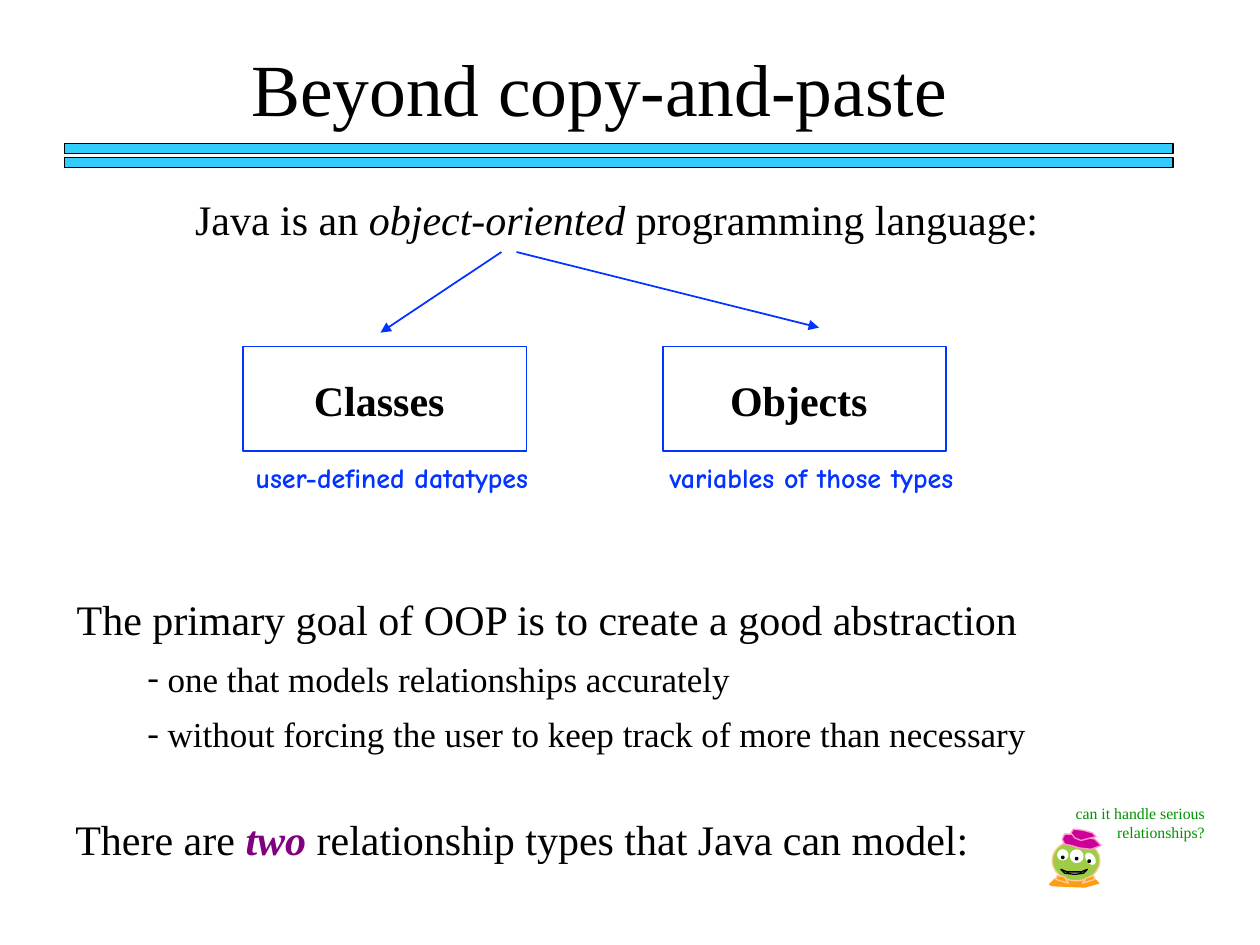
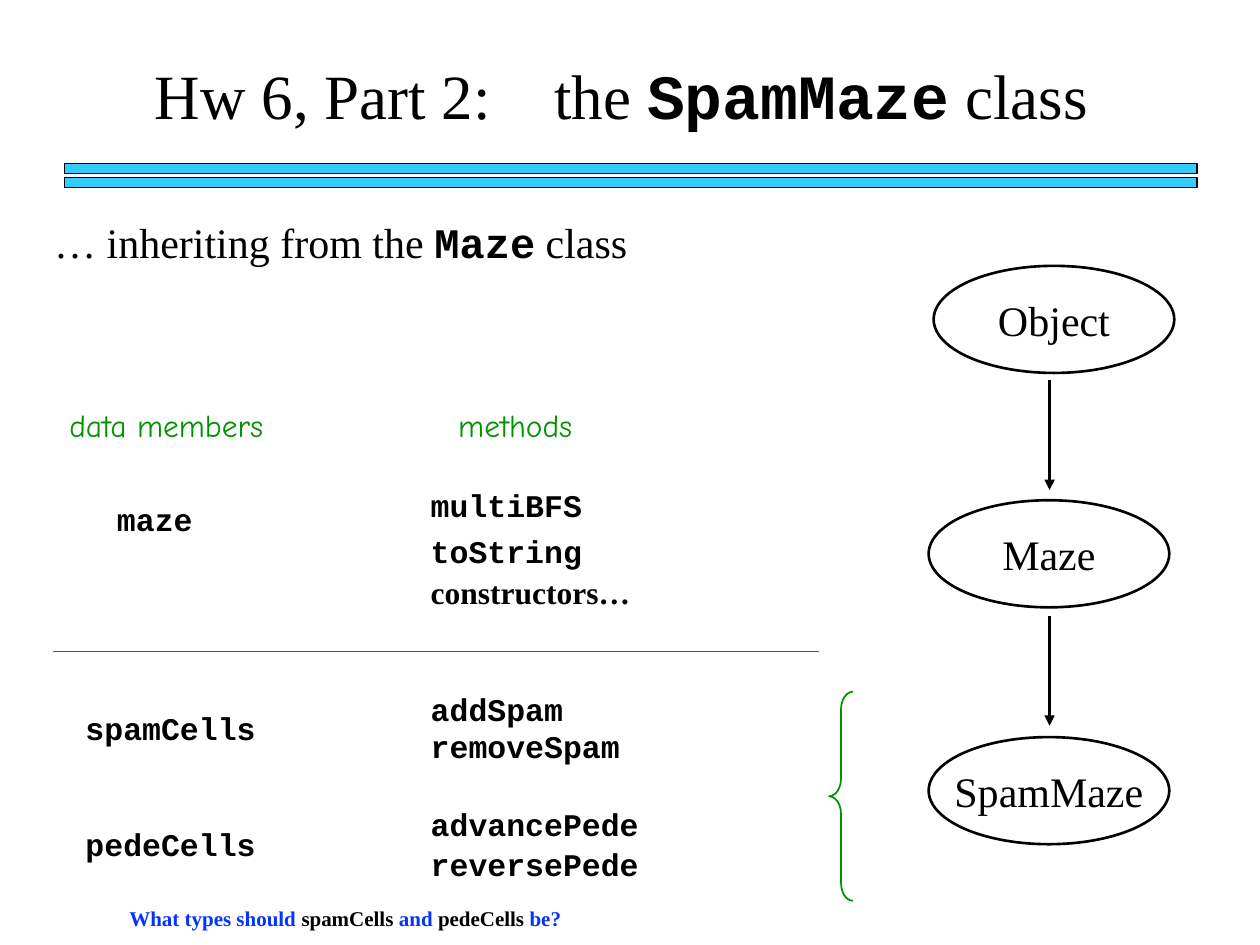
from dataclasses import dataclass

from lxml import etree
from pptx import Presentation
from pptx.dml.color import RGBColor
from pptx.enum import shapes, text
from pptx.oxml import ns
from pptx.util import Inches, Pt

LEFT, CENTER, RIGHT = text.PP_ALIGN.LEFT, text.PP_ALIGN.CENTER, text.PP_ALIGN.RIGHT
TOP, MIDDLE = text.MSO_ANCHOR.TOP, text.MSO_ANCHOR.MIDDLE
RECTANGLE, OVAL = shapes.MSO_SHAPE.RECTANGLE, shapes.MSO_SHAPE.OVAL


@dataclass(frozen=True)
class Theme:
    serif: str = "Times New Roman"
    mono: str = "Courier New"
    hand: str = "Comic Neue"
    ink: str = "000000"
    band: str = "33CCFF"
    blue: str = "0333FF"
    green: str = "009200"
    purple: str = "800080"
    skin: str = "9ECC46"
    feet: str = "FD9D0F"
    peach: str = "FFCC99"
    beret: str = "CC0099"
    beret_edge: str = "FF99CC"
    eye: str = "FFFFFF"
    mouth: str = "C0C0C0"
    title: float = 42
    long_title: float = 36
    main: float = 24
    sub: float = 20
    member: float = 18
    note: float = 16
    question: float = 12
    aside: float = 9
    hairline: float = 0.75
    thin: float = 1
    thick: float = 1.5


THEME = Theme()


@dataclass(frozen=True)
class Run:
    words: str
    size: float = THEME.main
    font: str = THEME.serif
    color: str = THEME.ink
    bold: bool = False
    italic: bool = False


class Deck:
    def __init__(self, theme):
        self.theme = theme
        self.show = Presentation()
        self.show.slide_width, self.show.slide_height = Inches(10), Inches(7.5)
        self.slide = None

    def start(self):
        self.slide = self.show.slides.add_slide(self.show.slide_layouts[1])

    def set_text(self, frame, paragraphs, align=LEFT, anchor=TOP, wrap=True):
        """Fill a text frame; each paragraph is a list of runs."""
        frame.word_wrap = wrap
        frame.auto_size = text.MSO_AUTO_SIZE.NONE
        frame.vertical_anchor = anchor
        for number, runs in enumerate(paragraphs):
            line = frame.add_paragraph() if number else frame.paragraphs[0]
            line.alignment = align
            line.space_before = Pt(0)
            for part in runs:
                run = line.add_run()
                run.text = part.words
                run.font.name = part.font
                run.font.size = Pt(part.size)
                run.font.bold, run.font.italic = part.bold, part.italic
                run.font.color.rgb = RGBColor.from_string(part.color)

    def place(self, holder, left, top, width, height):
        holder.left, holder.top = Inches(left), Inches(top)
        holder.width, holder.height = Inches(width), Inches(height)
        return holder.text_frame

    def title(self, box, runs, align=CENTER, tab=None):
        frame = self.place(self.slide.shapes.title, *box)
        self.set_text(frame, [runs], align, MIDDLE)
        if tab:
            stops = etree.SubElement(frame.paragraphs[0]._p.get_or_add_pPr(), ns.qn("a:tabLst"))
            etree.SubElement(stops, ns.qn("a:tab"), pos=str(Inches(tab)), algn="l")

    def body(self, box, paragraphs, bullet=None, hang=0.0, indent=0.0, line_spacing=1.0, gap=0):
        frame = self.place(self.slide.placeholders[1], *box)
        self.set_text(frame, paragraphs)
        for number, line in enumerate(frame.paragraphs):
            line.line_spacing = line_spacing
            line.space_before = Pt(gap if number else 0)
            props = line._p.get_or_add_pPr()
            props.set("marL", str(Inches(indent)))
            props.set("indent", str(-Inches(hang)))
            if bullet:
                etree.SubElement(props, ns.qn("a:buFont"), typeface=self.theme.serif)
                etree.SubElement(props, ns.qn("a:buChar"), char=bullet)
            else:
                etree.SubElement(props, ns.qn("a:buNone"))

    def label(self, box, *runs, align=LEFT, wrap=True):
        frame = self.slide.shapes.add_textbox(*map(Inches, box)).text_frame
        self.set_text(frame, [runs], align, wrap=wrap)

    def paint(self, shape, fill, line, weight):
        shape.shadow.inherit = False
        if fill:
            shape.fill.solid()
            shape.fill.fore_color.rgb = RGBColor.from_string(fill)
        else:
            shape.fill.background()
        if line:
            shape.line.color.rgb = RGBColor.from_string(line)
            shape.line.width = Pt(weight)
        else:
            shape.line.fill.background()

    def shape(self, kind, box, fill=None, line=None, weight=THEME.hairline, turn=0):
        shape = self.slide.shapes.add_shape(kind, *map(Inches, box))
        shape.rotation = turn
        self.paint(shape, fill, line, weight)
        return shape

    def outline(self, points, fill, line):
        start, *rest = [(Inches(x), Inches(y)) for x, y in points]
        builder = self.slide.shapes.build_freeform(*start)
        builder.add_line_segments(rest, close=True)
        self.paint(builder.convert_to_shape(), fill, line, self.theme.hairline)

    def line(self, start, end, color, weight, arrow=True):
        ends = map(Inches, (*start, *end))
        link = self.slide.shapes.add_connector(shapes.MSO_CONNECTOR.STRAIGHT, *ends)
        link.line.color.rgb = RGBColor.from_string(color)
        link.line.width = Pt(weight)
        props = link._element.spPr
        if arrow:
            etree.SubElement(props.get_or_add_ln(), ns.qn("a:tailEnd"), type="triangle")
        etree.SubElement(props, ns.qn("a:effectLst"))

    def bands(self, top, width):
        for offset in (0, 0.11):
            self.shape(RECTANGLE, (0.51, top + offset, width, 0.08), self.theme.band, self.theme.ink)

    def mascot(self):
        t = self.theme
        self.outline([(8.53, 6.93), (8.6, 6.93), (8.67, 6.96), (8.72, 7.01), (8.61, 7.04),
                      (8.36, 7.03), (8.33, 7.02), (8.37, 6.98), (8.44, 6.95)], t.feet, t.feet)
        self.shape(OVAL, (8.35, 6.67, 0.38, 0.32), t.skin, t.peach)
        for left, top, width, height, turn in ((8.39, 6.74, 0.09, 0.09, 327),
                                               (8.49, 6.74, 0.11, 0.11, 0),
                                               (8.62, 6.76, 0.07, 0.11, 325)):
            self.shape(OVAL, (left, top, width, height), t.eye, turn=turn)
        for left, top in ((8.42, 6.79), (8.53, 6.8), (8.63, 6.82)):
            self.shape(OVAL, (left, top, 0.03, 0.03), t.ink)
        self.outline([(8.42, 6.9), (8.47, 6.92), (8.58, 6.92), (8.63, 6.9), (8.6, 6.93),
                      (8.53, 6.94), (8.45, 6.93)], t.mouth, t.ink)
        self.outline([(8.53, 6.62), (8.45, 6.62), (8.43, 6.66), (8.45, 6.7), (8.5, 6.71),
                      (8.57, 6.73), (8.66, 6.74), (8.74, 6.71), (8.69, 6.66)], t.beret, t.beret_edge)
        self.outline([(8.53, 6.65), (8.5, 6.61), (8.52, 6.58), (8.6, 6.59), (8.67, 6.61),
                      (8.7, 6.64), (8.62, 6.66), (8.58, 6.67)], t.beret, t.beret_edge)
        self.outline([(8.38, 6.98), (8.39, 6.95), (8.45, 6.96), (8.48, 7.01)], t.feet, t.peach)
        self.outline([(8.69, 6.98), (8.68, 6.95), (8.62, 6.97), (8.59, 7.01)], t.feet, t.peach)


def beyond_copy_and_paste(deck):
    t = deck.theme
    deck.start()
    deck.title((1.13, 0.22, 7.25, 0.94), [Run("Beyond copy-and-paste", t.title)])
    deck.bands(1.14, 8.8)
    deck.body((1, 5.23, 7.67, 0.81),
              [[Run("one that models relationships accurately", t.sub)],
               [Run("without forcing the user to keep track of more than necessary", t.sub)]],
              bullet="-", hang=0.16, indent=0.23, line_spacing=0.8, gap=12.5)
    deck.label((0.51, 4.66, 7.68, 0.5),
               Run("The primary goal of OOP is to create a good abstraction"), wrap=False)
    deck.label((1.45, 1.49, 6.89, 0.5), Run("Java is an "), Run("object-oriented", italic=True),
               Run(" programming language:"), wrap=False)

    concepts = (("Classes", "user-defined datatypes", 1.93, (3.98, 2), (3.02, 2.64)),
                ("Objects", "variables of those types", 5.26, (4.1, 2), (6.5, 2.6)))
    for concept, meaning, left, start, end in concepts:
        deck.shape(RECTANGLE, (left, 2.75, 2.25, 0.83), line=t.blue, weight=t.thin)
        deck.label((left + 0.33, 2.92, 1.5, 0.5), Run(concept, bold=True), align=CENTER)
        deck.line(start, end, t.blue, t.thin)
        deck.label((left - 0.36, 3.61, 3.08, 0.37),
                   Run(meaning, t.note, t.hand, t.blue, bold=True), align=CENTER)

    deck.label((0.5, 6.41, 8.07, 0.5), Run("There are "),
               Run("two ", color=t.purple, bold=True, italic=True),
               Run("relationship types that Java can model:"))
    deck.mascot()
    deck.label((7.83, 6.33, 1.83, 0.4),
               Run("can it handle serious relationships?", t.aside, color=t.green), align=RIGHT)


def spam_maze_class(deck):
    t = deck.theme
    deck.start()
    deck.bands(1.3, 8.99)
    deck.title((1.13, 0.4, 8.1, 0.7),
               [Run("Hw 6, Part 2:\tthe ", t.long_title),
                Run("SpamMaze", t.long_title, t.mono, bold=True),
                Run(" class", t.long_title)], align=LEFT, tab=3.17)
    deck.body((0.33, 1.67, 5.3, 0.5),
              [[Run("… inheriting from the "), Run("Maze", font=t.mono, bold=True), Run(" class")]])

    for name, left, top in (("Object", 7.41, 2.11), ("Maze", 7.37, 3.97), ("SpamMaze", 7.37, 5.85)):
        ancestor = deck.shape(OVAL, (left, top, 1.91, 0.85), line=t.ink, weight=t.thick)
        deck.set_text(ancestor.text_frame, [[Run(name)]], CENTER, MIDDLE, wrap=False)
    for top in (3.02, 4.89):
        deck.line((8.33, top), (8.33, top + 0.87), t.ink, t.thick)

    for heading, left in (("data members", 0.32), ("methods", 3.09)):
        deck.label((left, 3.17, 2, 0.4), Run(heading, t.member, t.hand, t.green), align=CENTER)
    members = (("maze", 0.83, 3.92), ("spamCells", 0.58, 5.58), ("pedeCells", 0.58, 6.5),
               ("multiBFS", 3.32, 3.81), ("toString", 3.32, 4.17),
               ("addSpam", 3.32, 5.43), ("removeSpam", 3.32, 5.72),
               ("advancePede", 3.32, 6.34), ("reversePede", 3.32, 6.66))
    for name, left, top in members:
        deck.label((left, top, 2.08, 0.4), Run(name, t.member, t.mono, bold=True))
    deck.label((3.32, 4.5, 2.08, 0.4), Run("constructors…", t.member, bold=True))

    deck.line((0.42, 5.17), (6.5, 5.17), t.green, t.thin, arrow=False)
    brace = deck.shape(shapes.MSO_SHAPE.LEFT_BRACE, (6.58, 5.49, 0.19, 1.66),
                       line=t.green, weight=t.thin)
    brace.adjustments[0] = 0.74

    question = (("What types should ", t.blue), ("spamCells", t.ink), (" and ", t.blue),
                ("pedeCells", t.ink), (" be?", t.blue))
    deck.label((0.53, 7.14, 4.42, 0.3),
               *(Run(words, t.question, color=color, bold=True) for words, color in question),
               align=CENTER)


def main():
    deck = Deck(THEME)
    beyond_copy_and_paste(deck)
    spam_maze_class(deck)
    deck.show.save("out.pptx")


if __name__ == "__main__":
    main()
